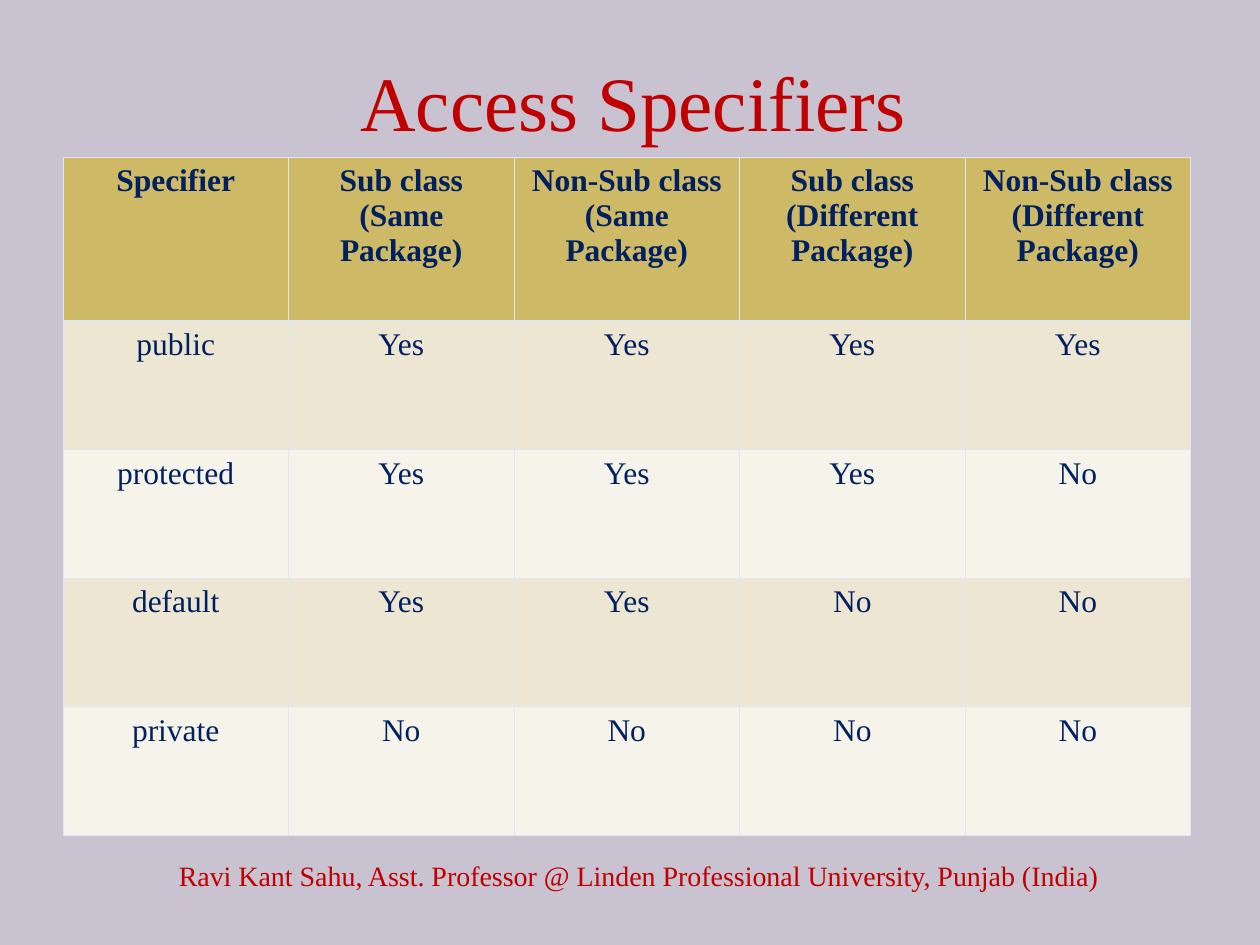
"""Build a slide with a table of Java access specifiers."""
from dataclasses import dataclass

import lxml.etree
import pptx
import pptx.dml.color
import pptx.enum.text
import pptx.oxml.ns
import pptx.util

FONT = "Times New Roman"
RED = "C00000"
NAVY = "002060"
HEADER_FILL = "CEB966"
BAND_FILLS = ("EDE6D3", "F6F3EA")
BORDER = "E0E6F5"
THIN, THICK = 0.45, 1.47
COLUMN_WIDTH = 1.79
HEADINGS = (
    "Specifier",
    "Sub class (Same Package)",
    "Non-Sub class (Same Package)",
    "Sub class (Different Package)",
    "Non-Sub class (Different Package)",
)


@dataclass(frozen=True)
class Specifier:
    name: str
    access: tuple[str, ...]


@dataclass(frozen=True)
class TextStyle:
    size: int
    color: str
    bold: bool = False


SPECIFIERS = (
    Specifier("public", ("Yes", "Yes", "Yes", "Yes")),
    Specifier("protected", ("Yes", "Yes", "Yes", "No")),
    Specifier("default", ("Yes", "Yes", "No", "No")),
    Specifier("private", ("No", "No", "No", "No")),
)
HEADING_STYLE = TextStyle(18, NAVY, bold=True)
BODY_STYLE = TextStyle(18, NAVY)


def rgb(color: str) -> pptx.dml.color.RGBColor:
    return pptx.dml.color.RGBColor.from_string(color)


def inches(*lengths: float) -> list[pptx.util.Length]:
    return [pptx.util.Inches(length) for length in lengths]


def write_text(text_frame, text: str, style: TextStyle) -> None:
    text_frame.word_wrap = True
    paragraph = text_frame.paragraphs[0]
    paragraph.alignment = pptx.enum.text.PP_ALIGN.CENTER
    run = paragraph.add_run()
    run.text = text
    run.font.name = FONT
    run.font.size = pptx.util.Pt(style.size)
    run.font.bold = style.bold
    run.font.color.rgb = rgb(style.color)


def set_borders(cell, top: float, bottom: float) -> None:
    properties = cell._tc.get_or_add_tcPr()
    widths = {"lnL": THIN, "lnR": THIN, "lnT": top, "lnB": bottom}
    for index, (tag, width) in enumerate(widths.items()):
        line = lxml.etree.Element(pptx.oxml.ns.qn(f"a:{tag}"), w=str(pptx.util.Pt(width)))
        fill = lxml.etree.SubElement(line, pptx.oxml.ns.qn("a:solidFill"))
        lxml.etree.SubElement(fill, pptx.oxml.ns.qn("a:srgbClr"), val=BORDER)
        properties.insert(index, line)


def add_title(slide) -> None:
    title = slide.shapes.title
    title.left, title.top, title.width, title.height = inches(0.55, 0.27, 8.95, 1.15)
    text_frame = title.text_frame
    text_frame.vertical_anchor = pptx.enum.text.MSO_ANCHOR.TOP
    text_frame.auto_size = pptx.enum.text.MSO_AUTO_SIZE.NONE
    text_frame.margin_top = pptx.util.Inches(0.16)
    write_text(text_frame, "Access Specifiers", TextStyle(44, RED))


def add_access_table(slide) -> None:
    rows = [HEADINGS] + [(item.name, *item.access) for item in SPECIFIERS]
    frame = slide.shapes.add_table(len(rows), len(HEADINGS), *inches(0.5, 1.25, 8.95, 5.37))
    table = frame.table
    for column in table.columns:
        column.width = pptx.util.Inches(COLUMN_WIDTH)
    for row_index, values in enumerate(rows):
        is_header = row_index == 0
        table.rows[row_index].height = pptx.util.Inches(1.3 if is_header else 1.02)
        fill = HEADER_FILL if is_header else BAND_FILLS[(row_index - 1) % 2]
        top = THICK if row_index == 1 else THIN
        bottom = THICK if is_header else THIN
        for column_index, value in enumerate(values):
            cell = table.cell(row_index, column_index)
            cell.fill.solid()
            cell.fill.fore_color.rgb = rgb(fill)
            set_borders(cell, top, bottom)
            write_text(cell.text_frame, value, HEADING_STYLE if is_header else BODY_STYLE)


def add_footer(slide) -> None:
    footer = slide.shapes.add_textbox(*inches(0.92, 6.75, 8.3, 0.4))
    footer.text_frame.vertical_anchor = pptx.enum.text.MSO_ANCHOR.MIDDLE
    write_text(
        footer.text_frame,
        "Ravi Kant Sahu, Asst. Professor @ Linden Professional University, Punjab (India)",
        TextStyle(16, RED),
    )


def main() -> None:
    presentation = pptx.Presentation()
    presentation.slide_width, presentation.slide_height = inches(10, 7.5)
    slide = presentation.slides.add_slide(presentation.slide_layouts.get_by_name("Title Only"))
    slide.background.fill.solid()
    slide.background.fill.fore_color.rgb = rgb("C9C2D1")
    add_title(slide)
    add_access_table(slide)
    add_footer(slide)
    presentation.save("out.pptx")


if __name__ == "__main__":
    main()
